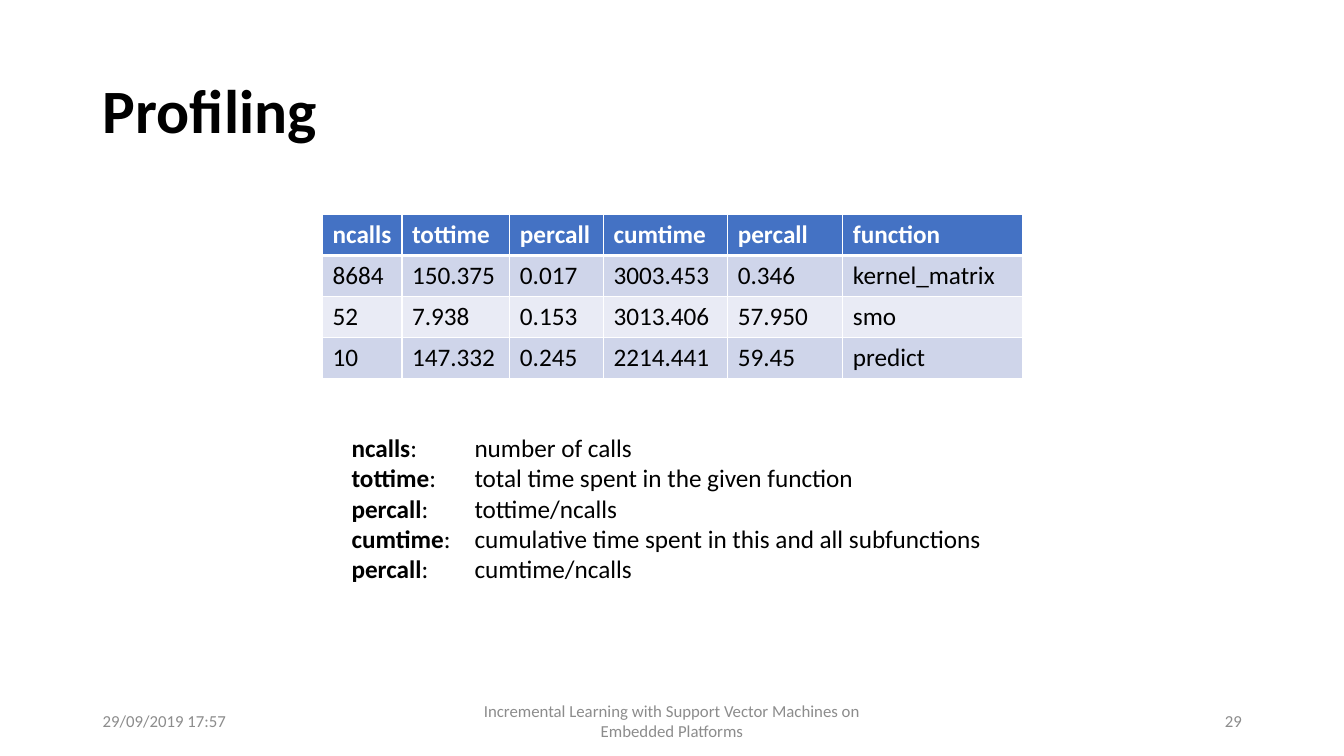
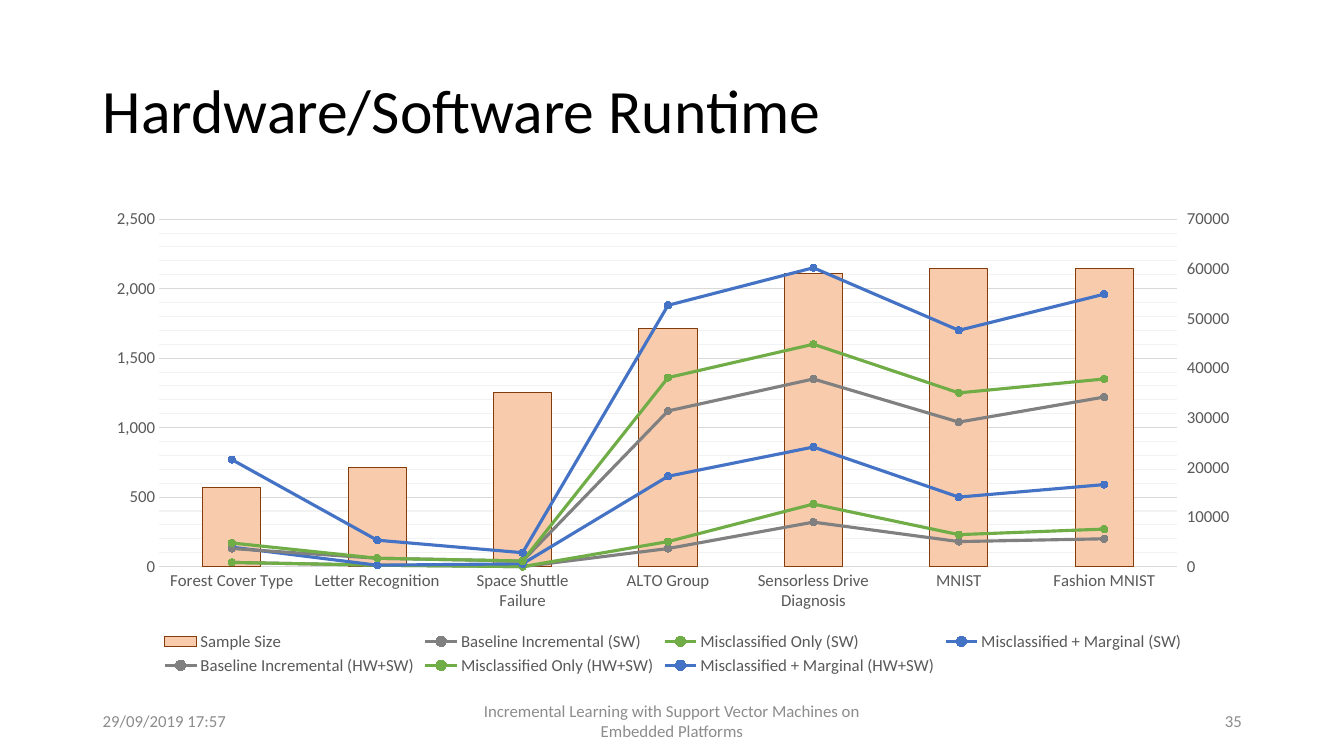
from lxml.etree import SubElement as Sub
from pptx import Presentation
from pptx.chart.data import CategoryChartData as Data
from pptx.dml.color import RGBColor as RGB
from pptx.enum.chart import XL_CHART_TYPE as Kind, XL_LEGEND_POSITION as Place
from pptx.enum.chart import XL_MARKER_STYLE as Mark, XL_TICK_MARK as Tick
from pptx.enum.text import MSO_ANCHOR as Anchor, MSO_AUTO_SIZE as Fit, PP_ALIGN as Align
from pptx.oxml import parse_xml
from pptx.oxml.ns import nsdecls, qn
from pptx.util import Cm, Pt

FONT = "Calibri"
BLACK, WHITE, BLUE, GREEN = "000000", "FFFFFF", "4472C4", "70AD47"
GREY, SOFT, TEXT, GRID, FAINT = "808080", "8C8C8C", "595959", "D9D9D9", "F2F2F2"
BANDS = ["E9EBF5", "CFD5EA"]


def paint(target, color):
    """Give a fill, or the fill of a line, one solid colour."""
    target.solid()
    target.fore_color.rgb = RGB.from_string(color)


def style(font, size, color, bold=False):
    font.name, font.size, font.bold = FONT, Pt(size), bold
    font.color.rgb = RGB.from_string(color)


deck = Presentation()
deck.slide_width, deck.slide_height = Cm(33.87), Cm(19.05)

# Title and footer of every slide
slides = []
for head, bold, page in [("Profiling", True, "29"),
                         ("Hardware/Software Runtime", False, "35")]:
    slide = deck.slides.add_slide(deck.slide_layouts[5])
    slides.append(slide)
    title = slide.shapes.title
    title.left, title.top, title.width, title.height = Cm(2.34), Cm(1.02), Cm(29.21), Cm(3.68)
    frame = title.text_frame
    frame.text = head
    frame.auto_size, frame.vertical_anchor = Fit.NONE, Anchor.MIDDLE
    line = frame.paragraphs[0]
    line.alignment, line.line_spacing = Align.LEFT, 0.9
    style(line.runs[0].font, 44, BLACK, bold)

    for text, left, width, align in [
            ("29/09/2019 17:57", 2.34, 7.62, Align.LEFT),
            ("Incremental Learning with Support Vector Machines on Embedded Platforms",
             11.22, 11.43, Align.CENTER),
            (page, 23.93, 7.62, Align.RIGHT)]:
        frame = slide.shapes.add_textbox(Cm(left), Cm(17.65), Cm(width), Cm(1.02)).text_frame
        frame.word_wrap, frame.vertical_anchor = True, Anchor.MIDDLE
        frame.text = text
        line = frame.paragraphs[0]
        line.alignment = align
        style(line.runs[0].font, 12, SOFT)

# Profiling table
rows = [
    ["ncalls", "tottime", "percall", "cumtime", "percall", "function"],
    ["8684", "150.375", "0.017", "3003.453", "0.346", "kernel_matrix"],
    ["52", "7.938", "0.153", "3013.406", "57.950", "smo"],
    ["10", "147.332", "0.245", "2214.441", "59.45", "predict"],
]
widths = [2.0, 2.72, 2.36, 3.13, 2.9, 4.52]
table = slides[0].shapes.add_table(len(rows), len(widths), Cm(8.13), Cm(5.41),
                                   Cm(sum(widths)), Cm(1.03 * len(rows))).table
for col, width in zip(table.columns, widths):
    col.width = Cm(width)
for r, row in enumerate(rows):
    for c, text in enumerate(row):
        cell = table.cell(r, c)
        cell.text = text
        style(cell.text_frame.paragraphs[0].runs[0].font, 18,
              BLACK if r else WHITE, r == 0)
        props = cell._tc.get_or_add_tcPr()
        for side in ["L", "R", "T", "B"]:
            # A thick rule parts the header from the body
            thick = (r, side) in [(0, "B"), (1, "T")]
            edge = Sub(props, qn("a:ln" + side), w=str(Pt(3 if thick else 1)))
            Sub(Sub(edge, qn("a:solidFill")), qn("a:srgbClr"), val=WHITE)
        paint(cell.fill, BANDS[r % 2] if r else BLUE)

# Meaning of the columns
terms = [
    ("ncalls", "number of calls"),
    ("tottime", "total time spent in the given function"),
    ("percall", "tottime/ncalls"),
    ("cumtime", "cumulative time spent in this and all subfunctions"),
    ("percall", "cumtime/ncalls"),
]
frame = slides[0].shapes.add_textbox(Cm(8.61), Cm(10.77), Cm(20.29), Cm(4.11)).text_frame
frame.word_wrap = True
for i, (term, sense) in enumerate(terms):
    line = frame.add_paragraph() if i else frame.paragraphs[0]
    for text, bold in [(term, True), (":\t" + sense, False)]:
        run = line.add_run()
        run.text = text
        style(run.font, 18, BLACK, bold)
    stops = Sub(line._p.get_or_add_pPr(), qn("a:tabLst"))
    Sub(stops, qn("a:tab"), pos=str(Cm(3.1)), algn="l")

# Runtime chart: lines on the left axis, sample size as columns on the right
data = Data(number_format="General")
data.categories = ["Forest Cover Type", "Letter Recognition", "Space Shuttle Failure",
                   "ALTO Group", "Sensorless Drive Diagnosis", "MNIST", "Fashion MNIST"]
for name, values in [
        ("Sample Size", [16000, 20000, 35000, 48000, 59000, 60000, 60000]),
        ("Baseline Incremental (SW)", [30, 10, 0, 130, 320, 180, 200]),
        ("Misclassified Only (SW)", [30, 10, 0, 180, 450, 230, 270]),
        ("Misclassified + Marginal (SW)", [140, 10, 20, 650, 860, 500, 590]),
        ("Baseline Incremental (HW+SW)", [130, 60, 40, 1120, 1350, 1040, 1220]),
        ("Misclassified Only (HW+SW)", [170, 60, 40, 1360, 1600, 1250, 1350]),
        ("Misclassified + Marginal (HW+SW)", [770, 190, 100, 1880, 2150, 1700, 1960])]:
    data.add_series(name, values)
chart = slides[1].shapes.add_chart(Kind.LINE_MARKERS, Cm(2.36), Cm(5.03),
                                   Cm(29.21), Cm(12.09), data).chart
chart.has_title = False
style(chart.font, 12, TEXT)
chart.has_legend = True
chart.legend.position, chart.legend.include_in_layout = Place.BOTTOM, False
style(chart.legend.font, 12, TEXT)

plot = chart.plots[0]
plot.vary_by_categories = False
size, *times = plot.series
paint(size.format.fill, "F8CBAD")
paint(size.format.line.fill, "843C0B")
size.format.line.width = Pt(0.75)
for i, series in enumerate(times):
    series.smooth = False
    paint(series.format.line.fill, [GREY, GREEN, BLUE][i % 3])
    series.format.line.width = Pt(2.25)
    mark = series.marker
    mark.style, mark.size = Mark.CIRCLE, 5
    tint = "FFC000" if i < 3 else "C00000"
    paint(mark.format.fill, tint)
    paint(mark.format.line.fill, tint)

# Left and bottom axes
cats, left = chart.category_axis, chart.value_axis
for axis in [cats, left]:
    axis.major_tick_mark = axis.minor_tick_mark = Tick.NONE
    style(axis.tick_labels.font, 12, TEXT)
paint(cats.format.line.fill, GRID)
left.format.line.fill.background()
left.minimum_scale, left.maximum_scale = 0, 2500
left.major_unit, left.minor_unit = 500, 100
left.tick_labels.number_format = "#,##0"
left.tick_labels.number_format_is_linked = False
left.has_major_gridlines = left.has_minor_gridlines = True
paint(left.major_gridlines.format.line.fill, GRID)
left.major_gridlines.format.line.width = Pt(0.75)
minor = left._element.find(qn("c:minorGridlines"))
edge = Sub(Sub(minor, qn("c:spPr")), qn("a:ln"), w=str(Pt(0.75)))
Sub(Sub(edge, qn("a:solidFill")), qn("a:srgbClr"), val=FAINT)

# Columns, drawn behind the lines
bars = parse_xml(f"""<c:barChart {nsdecls("c")}>
  <c:barDir val="col"/><c:grouping val="clustered"/><c:varyColors val="0"/>
  <c:gapWidth val="150"/><c:axId val="5001"/><c:axId val="5002"/>
</c:barChart>""")
ser = size._element
for tag in ["c:marker", "c:smooth"]:
    for part in ser.findall(qn(tag)):
        ser.remove(part)
bars.insert(3, ser)
lines = plot._element
lines.addprevious(bars)

# Right axis and its hidden category axis
right = parse_xml(f"""<c:valAx {nsdecls("c", "a")}>
  <c:axId val="5002"/>
  <c:scaling><c:orientation val="minMax"/><c:max val="70000"/><c:min val="0"/></c:scaling>
  <c:delete val="0"/><c:axPos val="r"/>
  <c:numFmt formatCode="General" sourceLinked="0"/>
  <c:majorTickMark val="out"/><c:minorTickMark val="none"/><c:tickLblPos val="nextTo"/>
  <c:spPr><a:ln><a:noFill/></a:ln></c:spPr>
  <c:txPr><a:bodyPr/><a:p><a:pPr><a:defRPr sz="1200" b="0">
    <a:solidFill><a:srgbClr val="{TEXT}"/></a:solidFill><a:latin typeface="{FONT}"/>
  </a:defRPr></a:pPr></a:p></c:txPr>
  <c:crossAx val="5001"/><c:crosses val="max"/><c:crossBetween val="between"/>
  <c:majorUnit val="10000"/>
</c:valAx>""")
hidden = parse_xml(f"""<c:catAx {nsdecls("c")}>
  <c:axId val="5001"/><c:scaling><c:orientation val="minMax"/></c:scaling>
  <c:delete val="1"/><c:axPos val="b"/>
  <c:crossAx val="5002"/><c:crosses val="autoZero"/>
</c:catAx>""")
left._element.addnext(right)
right.addnext(hidden)

deck.save("out.pptx")
